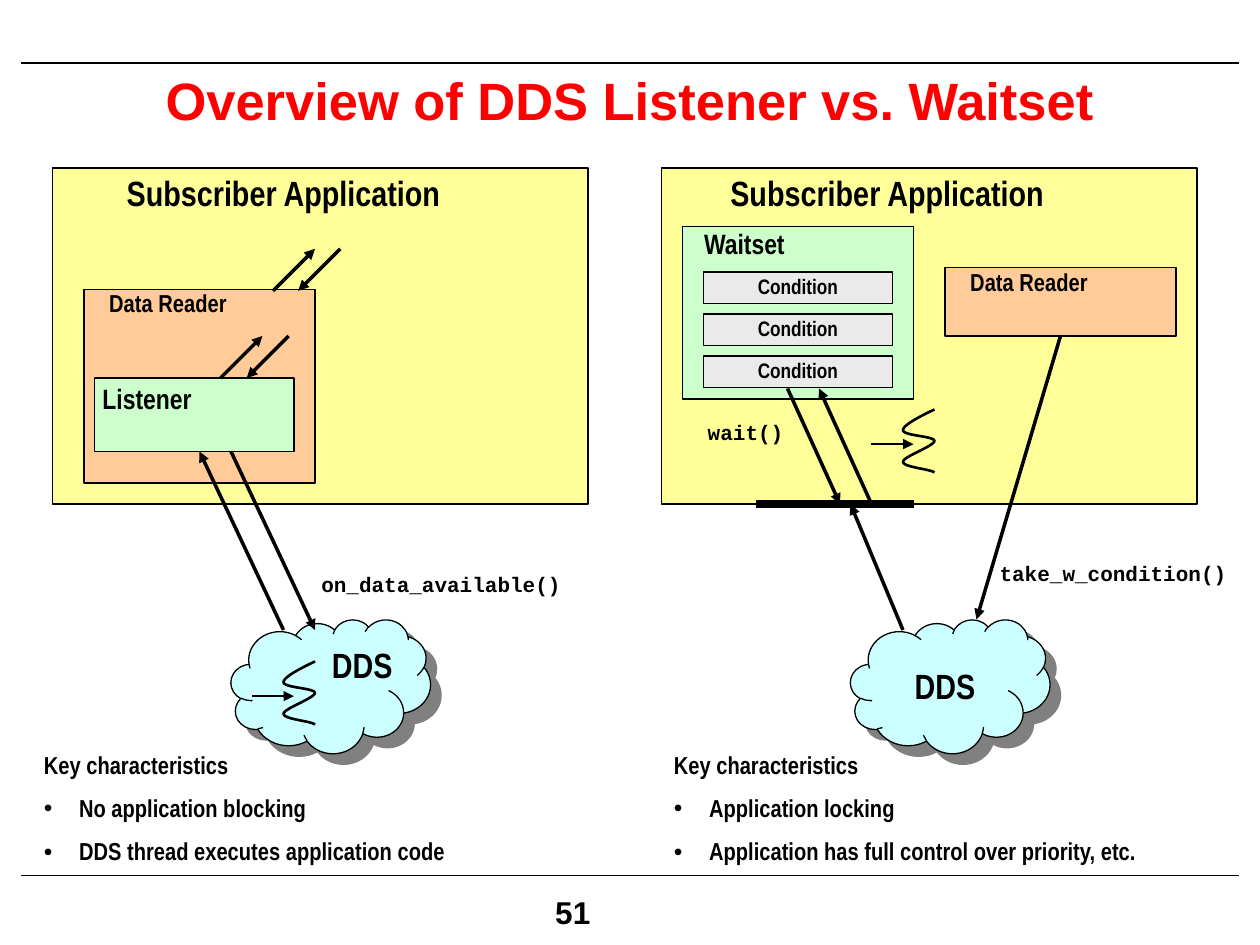
from dataclasses import dataclass
from typing import NamedTuple

from lxml.etree import SubElement
from pptx import Presentation
from pptx.dml.color import RGBColor
from pptx.enum.shapes import MSO_CONNECTOR, MSO_SHAPE
from pptx.enum.text import MSO_ANCHOR, PP_ALIGN
from pptx.oxml.ns import qn
from pptx.util import Emu, Inches, Pt

COLUMNS, ROWS = 120, 90
CELL = Inches(10) // COLUMNS


@dataclass(frozen=True)
class Theme:
    ink: str = "000000"
    paper: str = "FFFFFF"
    title: str = "FF0000"
    application: str = "FFFF99"
    reader: str = "FFCC99"
    handler: str = "CCFFCC"
    condition: str = "EAEAEA"
    cloud: str = "CCFFFF"
    cloud_shadow: str = "808080"
    sans: str = "Arial"
    narrow: str = "Arial Narrow"
    code: str = "Courier New"
    title_size: int = 30
    heading_size: int = 20
    page_size: int = 18
    part_size: int = 16
    body_size: int = 14
    small_size: int = 12
    outline: float = 0.75
    thread: float = 1.5
    call: float = 2
    barrier: float = 4.75


class Box(NamedTuple):
    column: float
    row: float
    columns: float
    rows: float


class Point(NamedTuple):
    column: float
    row: float


class Label(NamedTuple):
    text: str
    box: Box
    size: int
    face: str


class Arrow(NamedTuple):
    start: Point
    end: Point


THEME = Theme()
CURL = [
    [(1, 0), (0.5, 0.12), (0, 0.25), (0, 0.33)],
    [(0, 0.33), (0, 0.42), (1, 0.42), (1, 0.5)],
    [(1, 0.5), (1, 0.58), (0, 0.75), (0, 0.83)],
    [(0, 0.83), (0, 0.92), (0.83, 0.94), (1, 1)],
]


def grid(*cells: float) -> list[Emu]:
    return [Emu(round(cell * CELL)) for cell in cells]


def style_paragraph(paragraph, size: int, face: str, color: str = THEME.ink) -> None:
    paragraph.font.size = Pt(size)
    paragraph.font.name = face
    paragraph.font.bold = True
    paragraph.font.color.rgb = RGBColor.from_string(color)


def draw_block(slide, box: Box, fill: str, kind=MSO_SHAPE.RECTANGLE):
    block = slide.shapes.add_shape(kind, *grid(*box))
    block.shadow.inherit = False
    block.fill.solid()
    block.fill.fore_color.rgb = RGBColor.from_string(fill)
    block.line.color.rgb = RGBColor.from_string(THEME.ink)
    block.line.width = Pt(THEME.outline)
    return block


def draw_label(slide, label: Label, color: str = THEME.ink, align=PP_ALIGN.CENTER):
    holder = slide.shapes.add_textbox(*grid(*label.box))
    holder.text_frame.word_wrap = True
    paragraph = holder.text_frame.paragraphs[0]
    paragraph.text = label.text
    paragraph.alignment = align
    paragraph.line_spacing = 0.95
    style_paragraph(paragraph, label.size, label.face, color)
    return holder


def draw_condition(slide, box: Box) -> None:
    frame = draw_block(slide, box, THEME.condition).text_frame
    frame.margin_top = frame.margin_bottom = 0
    frame.vertical_anchor = MSO_ANCHOR.MIDDLE
    paragraph = frame.paragraphs[0]
    paragraph.text = "Condition"
    paragraph.alignment = PP_ALIGN.CENTER
    paragraph.line_spacing = 0.95
    style_paragraph(paragraph, THEME.small_size, THEME.narrow)


def draw_line(slide, line: Arrow, width: float, head: bool = False):
    connector = slide.shapes.add_connector(
        MSO_CONNECTOR.STRAIGHT, *grid(*line.start, *line.end))
    connector.line.color.rgb = RGBColor.from_string(THEME.ink)
    connector.line.width = Pt(width)
    properties = connector.element.find(qn("p:spPr"))
    if head:
        SubElement(properties.find(qn("a:ln")), qn("a:tailEnd"), type="triangle")
    SubElement(properties, qn("a:effectLst"))
    return connector


def draw_cloud(slide, column: float) -> None:
    cloud = draw_block(slide, Box(column, 59, 19, 12.75), THEME.cloud, MSO_SHAPE.CLOUD)
    effects = cloud.element.find(qn("p:spPr")).find(qn("a:effectLst"))
    shadow = SubElement(effects, qn("a:outerShdw"), dist=str(Pt(8.5)),
                        dir="2700000", algn="ctr", rotWithShape="0")
    SubElement(shadow, qn("a:srgbClr"), val=THEME.cloud_shadow)


def curve_point(controls: list[tuple[float, float]], t: float) -> tuple[float, ...]:
    weights = ((1 - t) ** 3, 3 * t * (1 - t) ** 2, 3 * t * t * (1 - t), t ** 3)
    return tuple(sum(w * c[axis] for w, c in zip(weights, controls)) for axis in (0, 1))


def draw_thread(slide, box: Box) -> None:
    steps = 12
    points = [CURL[0][0]] + [
        curve_point(controls, step / steps)
        for controls in CURL for step in range(1, steps + 1)]
    outline = [grid(box.column + x * box.columns, box.row + y * box.rows)
               for x, y in points]
    builder = slide.shapes.build_freeform(*outline[0])
    builder.add_line_segments(outline[1:], close=False)
    curl = builder.convert_to_shape()
    curl.shadow.inherit = False
    curl.fill.background()
    curl.line.color.rgb = RGBColor.from_string(THEME.ink)
    curl.line.width = Pt(THEME.thread)
    entry = Point(box.column - 3, box.row + 3.3)
    draw_line(slide, Arrow(entry, Point(entry.column + 4, entry.row)), THEME.thread, True)


def draw_characteristics(slide, column: float, points: list[str]) -> None:
    heading = Label("Key characteristics", Box(column, 71, 54, 12.1),
                    THEME.body_size, THEME.narrow)
    frame = draw_label(slide, heading, align=PP_ALIGN.LEFT).text_frame
    indent = Inches(0.28)
    for point in points:
        paragraph = frame.add_paragraph()
        paragraph.text = point
        properties = paragraph._p.get_or_add_pPr()
        properties.set("marL", str(indent))
        properties.set("indent", str(-indent))
        SubElement(properties, qn("a:buFont"), typeface=THEME.sans)
        SubElement(properties, qn("a:buChar"), char="•")
        paragraph.line_spacing = 0.95
        paragraph.space_before = Pt(8.8)
        style_paragraph(paragraph, THEME.body_size, THEME.narrow)


def draw_frame(slide) -> None:
    for row in (6, 83.4):
        draw_line(slide, Arrow(Point(2, row), Point(118, row)), THEME.outline)
    page = Label("51", Box(51.7, 84.7, 16.9, 4.8), THEME.page_size, THEME.sans)
    draw_label(slide, page, align=PP_ALIGN.LEFT)
    title = Label("Overview of DDS Listener vs. Waitset", Box(2, 7, 116, 5),
                  THEME.title_size, THEME.sans)
    holder = draw_label(slide, title, THEME.title)
    holder.text_frame.vertical_anchor = MSO_ANCHOR.MIDDLE
    holder.text_frame.paragraphs[0].line_spacing = 1.0


def draw_waitset_side(slide) -> None:
    draw_block(slide, Box(63, 16, 51, 32), THEME.application)
    draw_block(slide, Box(65, 21.6, 22, 16.4), THEME.handler)
    for index in range(3):
        draw_condition(slide, Box(67, 25.9 + 4 * index, 18, 3))
    draw_cloud(slide, 81)
    reader = draw_block(slide, Box(90, 25.5, 22, 6.5), THEME.reader)
    for label in (
        Label("Subscriber Application", Box(62, 16, 45, 5), THEME.heading_size, THEME.narrow),
        Label("Waitset", Box(64.9, 21.2, 12, 4.3), THEME.part_size, THEME.narrow),
        Label("DDS", Box(80, 63, 20, 5), THEME.heading_size, THEME.narrow),
        Label("Data Reader", Box(88, 25, 20, 3.8), THEME.body_size, THEME.narrow),
        Label("wait()", Box(63, 39.5, 16, 3.5), THEME.small_size, THEME.code),
        Label("take_w_condition()", Box(93, 53, 26, 3.5), THEME.small_size, THEME.code),
    ):
        draw_label(slide, label)
    draw_line(slide, Arrow(Point(72, 48), Point(87, 48)), THEME.barrier)
    for call in (Arrow(Point(75, 37), Point(80, 48)), Arrow(Point(86, 60), Point(81, 48)),
                 Arrow(Point(83, 48), Point(78, 37))):
        draw_line(slide, call, THEME.call, True)
    take = draw_line(slide, Arrow(Point(101, 32), Point(93, 59)), THEME.call, True)
    take.begin_connect(reader, 2)
    draw_thread(slide, Box(86, 39, 3, 6))
    draw_characteristics(slide, 63, ["Application locking",
                                     "Application has full control over priority, etc."])


def draw_listener_side(slide) -> None:
    draw_block(slide, Box(5, 16, 51, 32), THEME.application)
    draw_block(slide, Box(8, 27.6, 22, 18.4), THEME.reader)
    draw_block(slide, Box(9, 36, 19, 7), THEME.handler)
    draw_cloud(slide, 22)
    for label in (
        Label("Subscriber Application", Box(4, 16, 46, 5), THEME.heading_size, THEME.narrow),
        Label("Data Reader", Box(6, 27, 20, 3.8), THEME.body_size, THEME.narrow),
        Label("Listener", Box(4, 36, 20, 4.3), THEME.part_size, THEME.narrow),
        Label("DDS", Box(30, 61, 9, 5), THEME.heading_size, THEME.narrow),
        Label("on_data_available()", Box(29, 54, 26, 3.5), THEME.small_size, THEME.code),
    ):
        draw_label(slide, label)
    for call in (Arrow(Point(27, 60), Point(19, 43)), Arrow(Point(22, 43), Point(30, 60)),
                 Arrow(Point(21, 36), Point(25, 32)), Arrow(Point(27.5, 32), Point(23.5, 36)),
                 Arrow(Point(26, 27.7), Point(30, 23.7)),
                 Arrow(Point(32.4, 23.7), Point(28.4, 27.7))):
        draw_line(slide, call, THEME.call, True)
    draw_thread(slide, Box(27, 63, 3, 6))
    draw_characteristics(slide, 3, ["No application blocking",
                                    "DDS thread executes application code"])


def main() -> None:
    deck = Presentation()
    deck.slide_width, deck.slide_height = grid(COLUMNS, ROWS)
    slide = deck.slides.add_slide(deck.slide_layouts[6])
    slide.background.fill.solid()
    slide.background.fill.fore_color.rgb = RGBColor.from_string(THEME.paper)
    draw_frame(slide)
    draw_waitset_side(slide)
    draw_listener_side(slide)
    deck.save("out.pptx")


if __name__ == "__main__":
    main()
